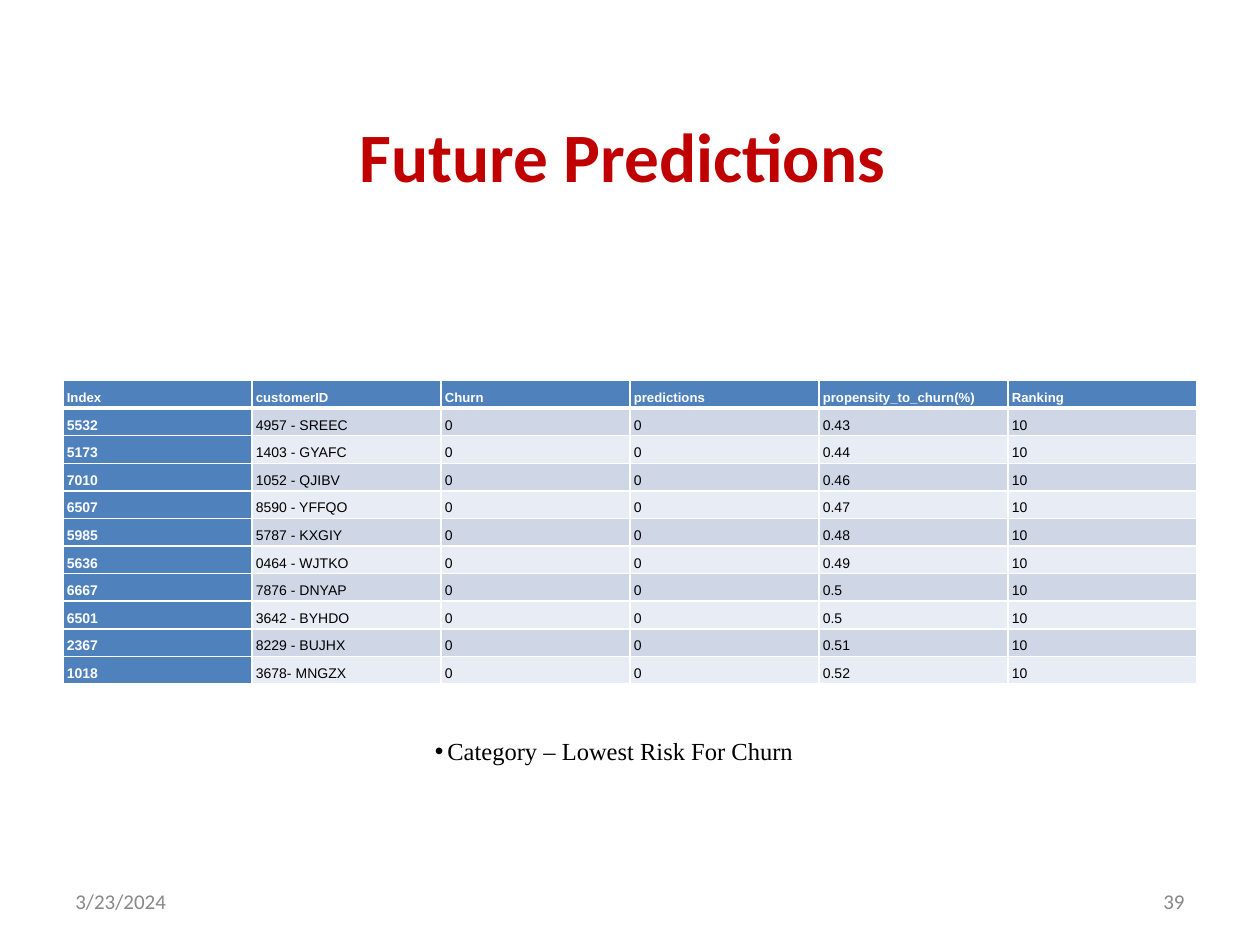
from lxml.etree import SubElement
from pptx import Presentation
from pptx.dml.color import RGBColor
from pptx.enum.text import MSO_ANCHOR as Anchor, MSO_AUTO_SIZE as AutoSize, PP_ALIGN as Align
from pptx.oxml.ns import qn
from pptx.util import Inches, Pt

TITLE = "Future Predictions"
CATEGORY = "Category – Lowest Risk For Churn"
HEADERS = ["Index", "customerID", "Churn", "predictions", "propensity_to_churn(%)", "Ranking"]
CUSTOMERS = [
    ("5532", "4957 - SREEC", "0.43"),
    ("5173", "1403 - GYAFC", "0.44"),
    ("7010", "1052 - QJIBV", "0.46"),
    ("6507", "8590 - YFFQO", "0.47"),
    ("5985", "5787 - KXGIY", "0.48"),
    ("5636", "0464 - WJTKO", "0.49"),
    ("6667", "7876 - DNYAP", "0.5"),
    ("6501", "3642 - BYHDO", "0.5"),
    ("2367", "8229 - BUJHX", "0.51"),
    ("1018", "3678- MNGZX", "0.52"),
]
CHURN, PREDICTION, RANKING = "0", "0", "10"
FOOTERS = [("3/23/2024", 0.5, Align.LEFT), ("39", 7.17, Align.RIGHT)]

RED = RGBColor(0xC0, 0x00, 0x00)
GRAY = RGBColor(0x88, 0x88, 0x88)
BLUE = RGBColor(0x4F, 0x81, 0xBD)
BANDS = [RGBColor(0xCF, 0xD7, 0xE7), RGBColor(0xE8, 0xEC, 0xF4)]
WHITE = RGBColor(0xFF, 0xFF, 0xFF)
BLACK = RGBColor(0x00, 0x00, 0x00)

TABLE_LEFT, TABLE_TOP, TABLE_WIDTH, TABLE_HEIGHT = 0.5, 3.02, 9, 2.41
CELL_FORMAT = {
    "vertical_anchor": Anchor.BOTTOM,
    "margin_left": Inches(0.03),
    "margin_right": Inches(0.03),
    "margin_top": Inches(0.02),
    "margin_bottom": Inches(0.02),
}


def apply(target, values):
    """Set each named attribute on the target."""
    for name, value in values.items():
        setattr(target, name, value)


def write(frame, text, align, font, size, color, bold=False):
    """Fill a text frame with one formatted paragraph and return it."""
    paragraph = frame.paragraphs[0]
    paragraph.alignment = align
    run = paragraph.add_run()
    run.text = text
    apply(run.font, {"name": font, "size": Pt(size), "bold": bold})
    run.font.color.rgb = color
    return paragraph


def place(shape, left, top, width, height):
    """Position a shape and centre its wrapped text vertically."""
    apply(shape, {"left": Inches(left), "top": Inches(top),
                  "width": Inches(width), "height": Inches(height)})
    apply(shape.text_frame, {"word_wrap": True, "vertical_anchor": Anchor.MIDDLE,
                             "auto_size": AutoSize.NONE})
    return shape.text_frame


def add_borders(cell, widths):
    """Draw white cell borders with the given widths in points."""
    properties = cell._tc.get_or_add_tcPr()
    for position, (side, width) in enumerate(widths.items()):
        line = SubElement(properties, qn(f"a:{side}"), w=str(Pt(width)))
        fill = SubElement(line, qn("a:solidFill"))
        SubElement(fill, qn("a:srgbClr"), val=str(WHITE))
        properties.insert(position, line)


def add_predictions(slide):
    """Add the table of predicted churn."""
    rows = [HEADERS] + [
        [index, customer, CHURN, PREDICTION, propensity, RANKING]
        for index, customer, propensity in CUSTOMERS
    ]
    table = slide.shapes.add_table(
        len(rows), len(HEADERS), Inches(TABLE_LEFT), Inches(TABLE_TOP),
        Inches(TABLE_WIDTH), Inches(TABLE_HEIGHT)).table
    table.first_col = True
    for r, row in enumerate(rows):
        for c, value in enumerate(row):
            cell = table.cell(r, c)
            heading = r == 0 or c == 0
            apply(cell, CELL_FORMAT)
            cell.fill.solid()
            cell.fill.fore_color.rgb = BLUE if heading else BANDS[(r - 1) % 2]
            add_borders(cell, {"lnL": 1, "lnR": 1, "lnT": 3 if r == 1 else 1,
                               "lnB": 3 if r == 0 else 1})
            write(cell.text_frame, value, Align.JUSTIFY if r else Align.LEFT, "Arial",
                  8 if r else 7.5, WHITE if heading else BLACK, heading)


def add_category(body):
    """Format the body placeholder as one centred bullet."""
    frame = place(body, 0.39, 5.79, 9, 0.34)
    frame.auto_size = AutoSize.SHAPE_TO_FIT_TEXT
    paragraph = write(frame, CATEGORY, Align.CENTER, "Times New Roman", 14, BLACK)
    paragraph.space_before = Pt(0)
    properties = paragraph._p.get_or_add_pPr()
    properties.set("marL", "0")
    properties.set("indent", str(-Inches(0.1)))
    bullet_color = SubElement(properties, qn("a:buClr"))
    SubElement(bullet_color, qn("a:srgbClr"), val=str(BLACK))
    SubElement(properties, qn("a:buFont"), typeface="Arial")
    SubElement(properties, qn("a:buChar"), char="•")
    body.element.getparent().append(body.element)


def main():
    """Build and save the slide."""
    deck = Presentation()
    deck.slide_width, deck.slide_height = Inches(10), Inches(7.5)
    slide = deck.slides.add_slide(deck.slide_layouts[1])
    heading = place(slide.shapes.title, 1.38, 0.88, 7.12, 0.69)
    write(heading, TITLE, Align.CENTER, "Calibri", 39.6, RED, True)
    for text, left, align in FOOTERS:
        footer = slide.shapes.add_textbox(0, 0, 0, 0)
        write(place(footer, left, 6.95, 2.33, 0.4), text, align, "Calibri", 12, GRAY)
    add_predictions(slide)
    add_category(slide.placeholders[1])
    deck.save("out.pptx")


if __name__ == "__main__":
    main()
